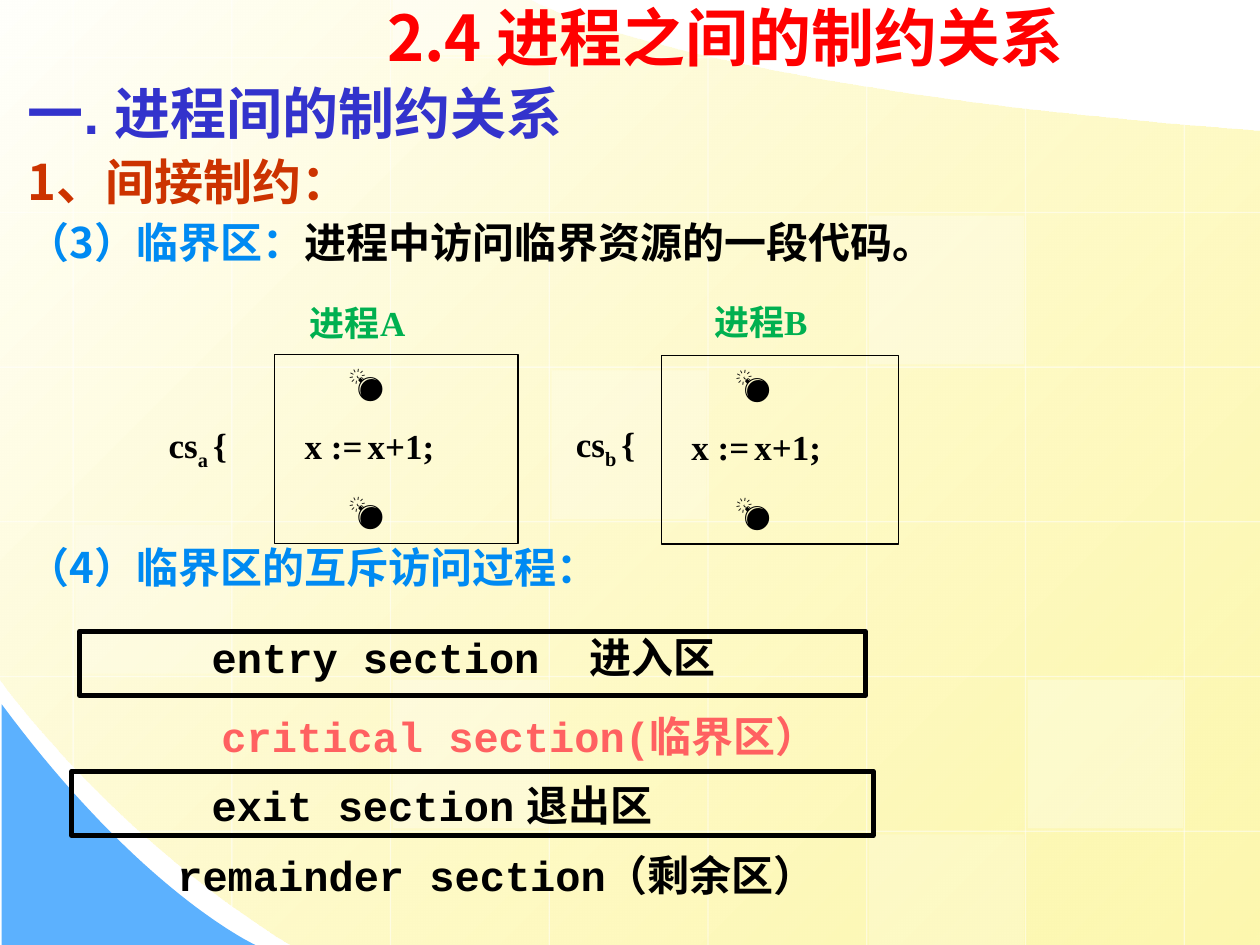
from pptx import Presentation
from pptx.dml.color import RGBColor
from pptx.enum.shapes import MSO_CONNECTOR as Line, MSO_SHAPE as Shape
from pptx.enum.text import MSO_ANCHOR as Anchor, MSO_AUTO_SIZE as Auto, PP_ALIGN as Align
from pptx.oxml.ns import qn
from pptx.util import Pt
from lxml.etree import SubElement as Sub

WIDE, HIGH = 720, 540
SANS, SERIF, MONO = "Noto Sans CJK SC", "Times New Roman", "Courier New"
BLACK, WHITE, SKY = "000000", "FFFFFF", "008AF2"


def paint(fill, hue, alpha=None):
    fill.solid()
    fill.fore_color.rgb = RGBColor.from_string(hue)
    if alpha is not None:
        fade(fill.fore_color, alpha)


def fade(color, alpha):
    node = color._xFill[0] if hasattr(color, "_xFill") else color
    Sub(node, qn("a:alpha"), val=str(alpha * 1000))


def write(para, words, size=24, font=SANS, hue=BLACK, base=0):
    run = para.add_run()
    run.text = words
    run.font.size, run.font.name, run.font.bold = Pt(size), font, True
    paint(run.font.fill, hue)
    props = run.font._element
    Sub(props, qn("a:ea"), typeface=SANS)
    if base:
        props.set("baseline", str(base * 1000))


def setup(para, first=False, gap=0, lines=1.0, indent=0, tab=None, align=Align.LEFT):
    props = para._p.get_or_add_pPr()
    props.set("marL", str(Pt(indent)))
    props.set("indent", "0")
    Sub(props, qn("a:buNone"))
    if tab:
        Sub(Sub(props, qn("a:tabLst")), qn("a:tab"), pos=str(Pt(tab)), algn="l")
    para.alignment, para.line_spacing = align, lines
    para.space_before = Pt(0 if first else gap)
    return para


def place(shape, box):
    shape.left, shape.top, shape.width, shape.height = map(Pt, box)


def label(slide, box, inset=True, **form):
    frame = slide.shapes.add_textbox(*map(Pt, box)).text_frame
    frame.word_wrap = True
    if not inset:
        frame.margin_left = frame.margin_right = frame.margin_top = frame.margin_bottom = 0
    return setup(frame.paragraphs[0], first=True, **form)


def panel(slide, box, weight):
    rect = slide.shapes.add_shape(Shape.RECTANGLE, *map(Pt, box))
    rect.shadow.inherit = False
    rect.fill.background()
    paint(rect.line.fill, BLACK)
    rect.line.width = Pt(weight)
    return rect


def curve(a, b, c, d, steps=40):
    def mix(t, i):
        u = 1 - t
        return u**3 * a[i] + 3 * u * u * t * b[i] + 3 * u * t * t * c[i] + t**3 * d[i]
    return [(mix(n / steps, 0), mix(n / steps, 1)) for n in range(steps + 1)]


def region(slide, points):
    (x, y), *rest = points
    pen = slide.shapes.build_freeform(Pt(x), Pt(y))
    pen.add_line_segments([(Pt(u), Pt(v)) for u, v in rest], close=True)
    shape = pen.convert_to_shape()
    shape.shadow.inherit = False
    shape.line.fill.background()
    return shape


def rule(slide, *ends):
    line = slide.shapes.add_connector(Line.STRAIGHT, *map(Pt, ends))
    paint(line.line.fill, WHITE, 50)
    line.line.width = Pt(0.75)
    Sub(line._element.spPr, qn("a:effectLst"))


def backdrop(slide):
    # Yellow field and blue corner
    field = region(slide, [(720, 75), (720, 540)]
                   + curve((166, 540), (62, 476), (0, 388), (0, 388))
                   + [(0, 0)] + curve((303, 0), (303, 0), (387, 50), (720, 75)))
    field.fill.gradient()
    field.fill.gradient_angle = 315
    for stop, hue, spot in zip(field.fill.gradient_stops, ("FFFFFB", "FDF58D"), (0, 1)):
        stop.color.rgb, stop.position = RGBColor.from_string(hue), spot
    last = field._element.spPr.findall(".//" + qn("a:srgbClr"))[-1]
    fade(last, 70)
    corner = region(slide, [(1, 402.5), (1, 540)]
                    + curve((146, 540), (146, 540), (81, 510.5), (1, 402.5)))
    paint(corner.fill, "5CB1FE")

    # Grid lines
    left, top, across, down = 41.8, 33, 90.7, 88.4
    tops = (0, 0, 0, 0, 31, 49, 61, 71)
    ends = (438.5, 517.7) + (HIGH,) * 6
    for col, (start, end) in enumerate(zip(tops, ends)):
        x = left + col * across
        rule(slide, x, start, x, end)
    for row in range(6):
        y = top + row * down
        rule(slide, 409 if row == 0 else WIDE, y, 80 if row == 5 else 0, y)

    # Pale tiles, clipped to the slide
    for col, row, alpha in ((3, 2, 25), (6, 4, 30), (0, 3, 20), (5, 5, 20),
                            (2, -1, 40), (2, 4, 30), (5, 1, 30)):
        y = top + row * down + 1.8
        start, end = max(0, y), min(HIGH, y + 85)
        tile = panel(slide, (left + col * across + 1.3, start, 88.6, end - start), 0.75)
        tile.line.fill.background()
        paint(tile.fill, WHITE, alpha)


def outline(body, box):
    place(body, box)
    frame = body.text_frame
    frame.auto_size = Auto.NONE
    rows = (
        (0, [("一. 进程间的制约关系", 32, "Arial", "3333CC")]),
        (7, [("1、间接制约：", 28, SANS, "CC3300")]),
        (6, [("（3）临界区：", 24, SANS, SKY),
             ("进程中访问临界资源的一段代码。", 24, SANS, BLACK)]),
        (160, [("（4）临界区的互斥访问过程：", 24, SANS, SKY)]),
    )
    for n, (gap, runs) in enumerate(rows):
        para = frame.add_paragraph() if n else frame.paragraphs[0]
        setup(para, gap=gap, lines=0.9)
        for run in runs:
            write(para, *run)


def process(slide, box, name, mark, name_box, mark_box):
    # Code box
    frame = panel(slide, box, 0.75).text_frame
    frame.vertical_anchor, frame.word_wrap = Anchor.TOP, True
    rows = (("💣", "Arial", 35), ("x :=\tx+1;", SERIF, 10), ("💣", "Arial", 35))
    for n, (words, font, indent) in enumerate(rows):
        para = frame.add_paragraph() if n else frame.paragraphs[0]
        setup(para, first=n == 0, gap=12.5, indent=indent, tab=51)
        write(para, words, size=20, font=font)
    # Section mark and process name
    para = label(slide, mark_box, lines=1.3)
    for words, base in (("cs", 0), (mark + " ", -25), ("{", 0)):
        write(para, words, size=20, font=SERIF, base=base)
    write(label(slide, name_box), name, size=20, font=SERIF, hue="00B050")


def stages(slide, box):
    x, y, wide, _ = box
    # Framed stages share a tab stop
    for words, top, edge, drop in (("entry section\t进入区", 0, 4.5, 0),
                                   ("exit section\t退出区", 80, 0, 5)):
        panel(slide, (x + edge, y + top, wide - 2 * edge, 36.7), 2.86)
        para = label(slide, (x + 80, y + top + drop, 340, 29), inset=False, tab=207.5)
        write(para, words, font=MONO)
    # Open stages
    for words, left, top, width, hue in (
            ("critical section(临界区）", 25.2, 45.4, 461.5, "FF6161"),
            ("remainder section（剩余区）", 27.4, 124.6, 430.6, BLACK)):
        para = label(slide, (x + left, y + top, width, 29), inset=False, align=Align.CENTER)
        write(para, words, font=MONO, hue=hue)


def heading(title, box):
    place(title, box)
    frame = title.text_frame
    frame.auto_size, frame.vertical_anchor = Auto.NONE, Anchor.MIDDLE
    write(setup(frame.paragraphs[0], first=True), "2.4 进程之间的制约关系", size=36, hue="FF0000")


def main():
    deck = Presentation()
    deck.slide_width, deck.slide_height = Pt(WIDE), Pt(HIGH)
    slide = deck.slides.add_slide(deck.slide_layouts[1])
    title, body = slide.placeholders
    tree = title._element.getparent()

    backdrop(slide)
    tree.append(body._element)
    outline(body, (8.6, 45.4, 686, 486))
    process(slide, (157, 202.5, 139, 108), "进程A", "a",
            (170, 169, 95, 32), (89.3, 230.4, 50, 43))
    process(slide, (378, 203, 135.4, 108), "进程B", "b",
            (401, 168, 122, 32), (322, 229.7, 97, 43))
    stages(slide, (41, 360.7, 458, 153))
    tree.append(title._element)
    heading(title, (214, -3, 476, 48))
    deck.save("out.pptx")


if __name__ == "__main__":
    main()
